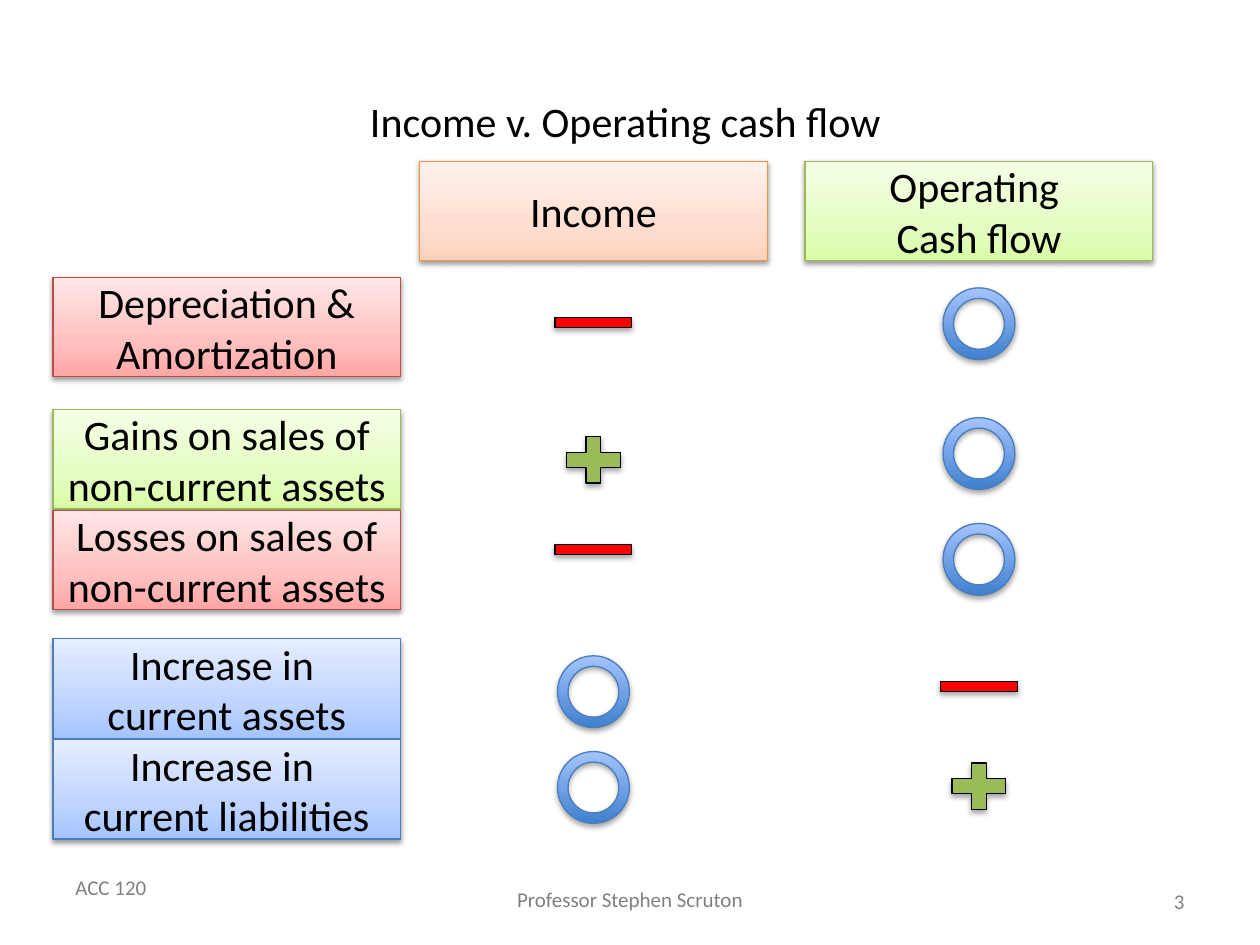
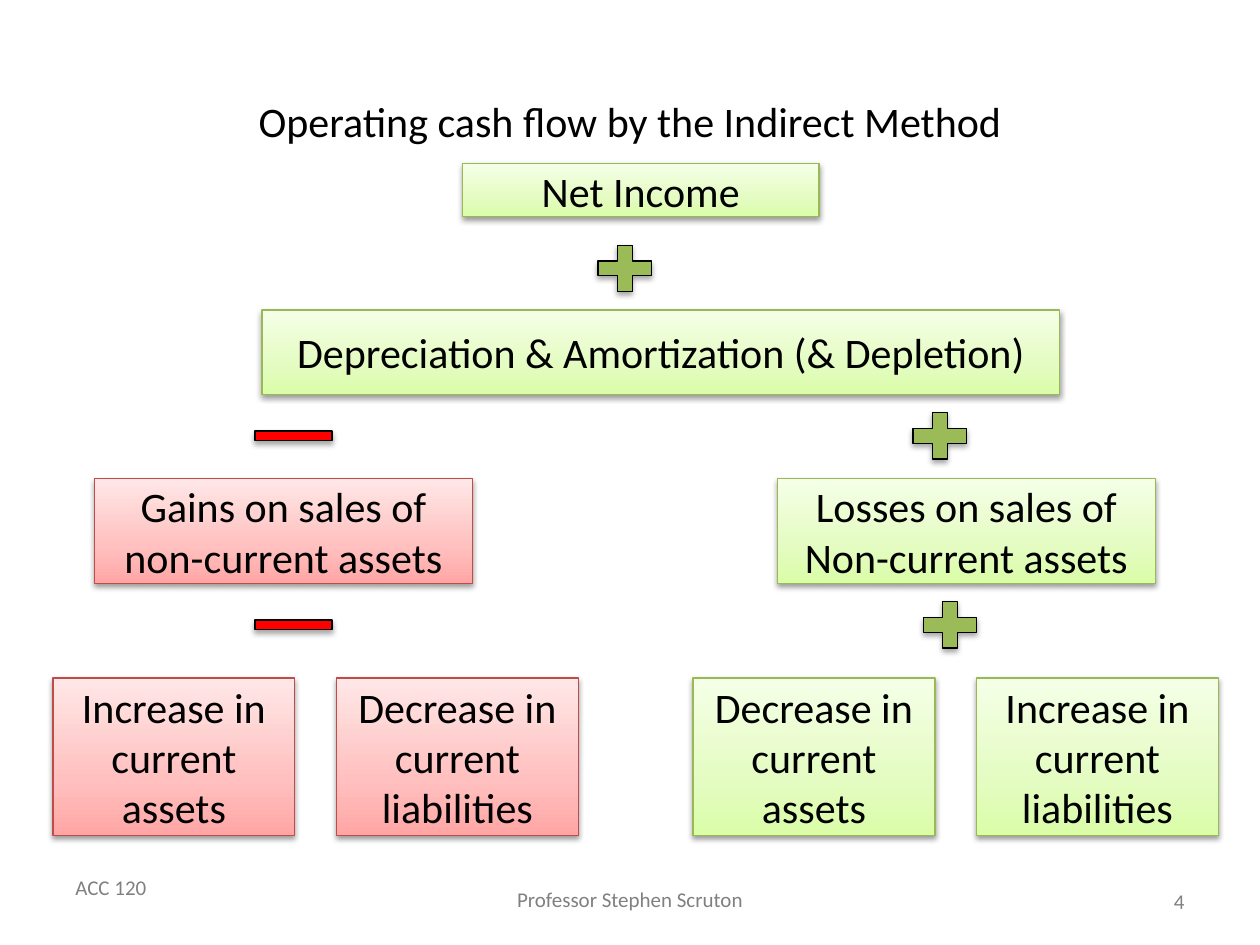
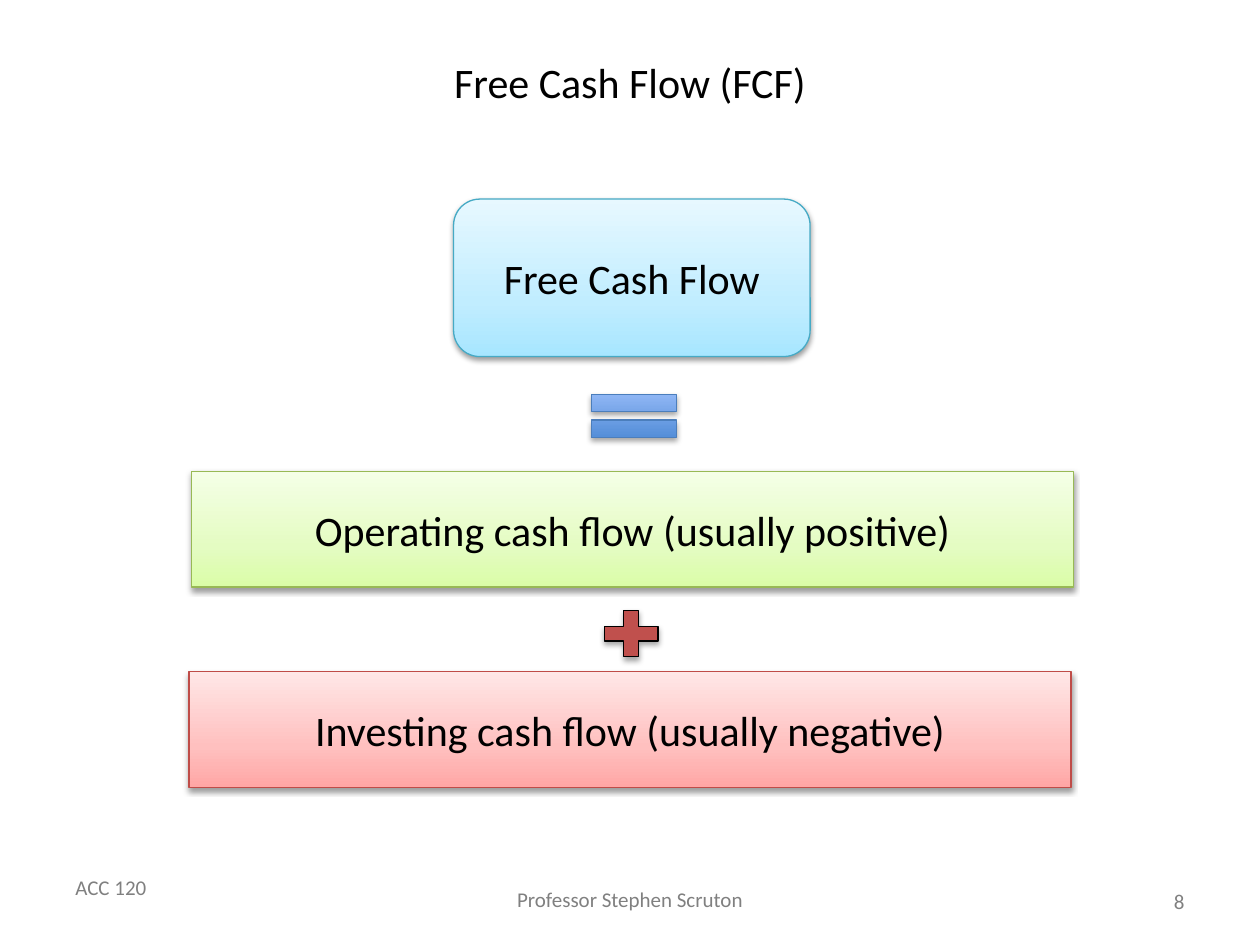
from collections import namedtuple

from lxml.etree import SubElement
from pptx import Presentation
from pptx.dml.color import RGBColor
from pptx.enum.shapes import MSO_SHAPE as SHAPE
from pptx.enum.text import MSO_ANCHOR as ANCHOR, PP_ALIGN as ALIGN
from pptx.oxml.ns import qn
from pptx.util import Inches, Pt

FONT = "Calibri"
BLACK = RGBColor(0x00, 0x00, 0x00)
GRAY = RGBColor(0x80, 0x80, 0x80)
MINUS_RED = RGBColor(0xFF, 0x00, 0x00)
PLUS_GREEN = RGBColor(0x9B, 0xBB, 0x59)
PLUS_RED = RGBColor(0xC0, 0x50, 0x4D)
BLUE_EDGE = RGBColor(0x4B, 0x7E, 0xBC)
BLUE_DARK = RGBColor(0x3F, 0x80, 0xCE)
BLUE_LIGHT = RGBColor(0xA4, 0xC4, 0xFF)

# Gradients run from the bottom edge to the top: (position in percent, colour)
Tint = namedtuple("Tint", "edge stops")


def soft_tint(edge, bottom, middle, top):
    return Tint(edge, [(0, bottom), (35, middle), (100, top)])


RED = soft_tint(RGBColor(0xBF, 0x4C, 0x48), RGBColor(0xFF, 0xA6, 0xA5),
                RGBColor(0xFF, 0xC0, 0xBF), RGBColor(0xFF, 0xE7, 0xE7))
GREEN = soft_tint(RGBColor(0x98, 0xB9, 0x55), RGBColor(0xDA, 0xFD, 0xA7),
                  RGBColor(0xE4, 0xFC, 0xC2), RGBColor(0xF5, 0xFF, 0xE7))
BLUE = soft_tint(BLUE_EDGE, BLUE_LIGHT,
                 RGBColor(0xBF, 0xD4, 0xFF), RGBColor(0xE6, 0xEE, 0xFF))
ORANGE = soft_tint(RGBColor(0xF6, 0x92, 0x40), RGBColor(0xFF, 0xD2, 0xBD),
                   RGBColor(0xFF, 0xDE, 0xD0), RGBColor(0xFF, 0xF2, 0xED))
AQUA = soft_tint(RGBColor(0x46, 0xAA, 0xC5), RGBColor(0xA7, 0xE6, 0xFF),
                 RGBColor(0xC1, 0xED, 0xFF), RGBColor(0xE7, 0xF8, 0xFF))
DEEP_BLUE = Tint(BLUE_EDGE, [(0, BLUE_DARK), (100, BLUE_LIGHT)])

# Signs: preset shape, width, height, fill
Sign = namedtuple("Sign", "preset width height fill")
MINUS = Sign(SHAPE.MATH_MINUS, 0.83, 0.33, MINUS_RED)
PLUS = Sign(SHAPE.MATH_PLUS, 0.58, 0.5, PLUS_GREEN)
RED_PLUS = PLUS._replace(fill=PLUS_RED)
NEUTRAL = Sign(SHAPE.DONUT, 0.57, 0.57, DEEP_BLUE)
EQUALS = Sign(SHAPE.MATH_EQUAL, 0.92, 0.58, DEEP_BLUE)


# Shared styling
def add_run(paragraph, text, size, color, align):
    paragraph.alignment = align
    run = paragraph.add_run()
    run.text = text
    run.font.name = FONT
    run.font.size = Pt(size)
    run.font.color.rgb = color


def paint(shape, fill):
    if isinstance(fill, Tint):
        shape.fill.gradient()
        shape.fill.gradient_angle = 90
        stops = shape._element.spPr.find(qn("a:gradFill")).find(qn("a:gsLst"))
        stops.clear()
        for percent, color in fill.stops:
            stop = SubElement(stops, qn("a:gs"), pos=str(percent * 1000))
            SubElement(stop, qn("a:srgbClr"), val=str(color))
        shape.line.color.rgb = fill.edge
    else:
        shape.fill.solid()
        shape.fill.fore_color.rgb = fill
        shape.line.color.rgb = BLACK
    shape.line.width = Pt(0.75)


def drop_shadow(shape, distance, opacity):
    shape.shadow.inherit = False
    effects = shape._element.spPr.find(qn("a:effectLst"))
    shadow = SubElement(effects, qn("a:outerShdw"), blurRad="40000",
                        dist=str(Pt(distance)), dir="5400000", rotWithShape="0")
    color = SubElement(shadow, qn("a:srgbClr"), val=str(BLACK))
    SubElement(color, qn("a:alpha"), val=str(opacity * 1000))


# Elements
def add_box(slide, text, tint, left, top, width, height, preset=SHAPE.RECTANGLE):
    box = slide.shapes.add_shape(preset, Inches(left), Inches(top),
                                 Inches(width), Inches(height))
    paint(box, tint)
    drop_shadow(box, 1.6, 38)
    frame = box.text_frame
    frame.word_wrap = True
    frame.vertical_anchor = ANCHOR.MIDDLE
    for index, line in enumerate(text.split("\n")):
        paragraph = frame.add_paragraph() if index else frame.paragraphs[0]
        add_run(paragraph, line, 24, BLACK, ALIGN.CENTER)


def add_sign(slide, sign, center_x, center_y):
    mark = slide.shapes.add_shape(
        sign.preset, Inches(center_x - sign.width / 2),
        Inches(center_y - sign.height / 2), Inches(sign.width), Inches(sign.height))
    if sign.preset == SHAPE.DONUT:
        mark.adjustments[0] = 0.146
    paint(mark, sign.fill)
    drop_shadow(mark, 1.8, 35)


def add_footer(slide, text, left, top, width, height, align, wrap=False):
    footer = slide.shapes.add_textbox(Inches(left), Inches(top),
                                      Inches(width), Inches(height))
    frame = footer.text_frame
    frame.word_wrap = wrap
    frame.vertical_anchor = ANCHOR.MIDDLE
    add_run(frame.paragraphs[0], text, 12, GRAY, align)


def new_slide(prs, heading, number, title_top=0.61):
    slide = prs.slides.add_slide(prs.slide_layouts[5])
    title = slide.shapes.title
    title.left, title.top = Inches(0.75), Inches(title_top)
    title.width, title.height = Inches(8.5), Inches(0.7)
    title.text_frame.vertical_anchor = ANCHOR.MIDDLE
    add_run(title.text_frame.paragraphs[0], heading, 24, BLACK, ALIGN.CENTER)
    add_footer(slide, "ACC 120", 0.5, 6.89, 0.77, 0.3, ALIGN.LEFT)
    add_footer(slide, "Professor Stephen Scruton", 3.99, 6.99, 2.02, 0.3, ALIGN.CENTER)
    add_footer(slide, str(number), 7.17, 6.95, 2.33, 0.4, ALIGN.RIGHT, wrap=True)
    return slide


# Slides
def income_vs_cash_flow(prs):
    slide = new_slide(prs, "Income v. Operating cash flow ", 3)
    width, height = 2.76, 0.79
    income_left, cash_left = 3.33, 6.39
    add_box(slide, "Income", ORANGE, income_left, 1.28, width, height)
    add_box(slide, "Operating \nCash flow", GREEN, cash_left, 1.28, width, height)

    # Label, tint, top, then sign and its centre height for each column
    rows = [
        ("Depreciation & Amortization", RED, 2.2, (MINUS, 2.56), (NEUTRAL, 2.57)),
        ("Gains on sales of non-current assets", GREEN, 3.25,
         (PLUS, 3.65), (NEUTRAL, 3.6)),
        ("Losses on sales of non-current assets", RED, 4.05,
         (MINUS, 4.36), (NEUTRAL, 4.44)),
        ("Increase in \ncurrent assets", BLUE, 5.07, (NEUTRAL, 5.49), (MINUS, 5.45)),
        ("Increase in \ncurrent liabilities", BLUE, 5.87,
         (NEUTRAL, 6.25), (PLUS, 6.24)),
    ]
    for label, tint, top, *effects in rows:
        add_box(slide, label, tint, 0.42, top, width, height)
        for left, (sign, center_y) in zip((income_left, cash_left), effects):
            add_sign(slide, sign, left + width / 2, center_y)


def indirect_method(prs):
    slide = new_slide(prs, "Operating cash flow by the Indirect Method", 4)
    add_box(slide, "Net Income", GREEN, 3.67, 1.3, 2.83, 0.42)
    add_sign(slide, PLUS, 4.96, 2.13)
    add_box(slide, "Depreciation & Amortization (& Depletion)", GREEN,
            2.08, 2.46, 6.33, 0.67)

    # Deductions on the left, additions on the right
    branches = [
        (RED, MINUS, (2.33, 2.33), 0.75, "Gains on sales of non-current assets", 0.42,
         ("Increase in current assets", "Decrease in current liabilities")),
        (GREEN, PLUS, (7.46, 7.54), 6.17, "Losses on sales of Non-current assets", 5.5,
         ("Decrease in current assets", "Increase in current liabilities")),
    ]
    for tint, sign, sign_centers, sale_left, sale, first_left, changes in branches:
        for center_x, center_y in zip(sign_centers, (3.46, 4.96)):
            add_sign(slide, sign, center_x, center_y)
        add_box(slide, sale, tint, sale_left, 3.8, 3, 0.83)
        for index, change in enumerate(changes):
            add_box(slide, change, tint, first_left + index * 2.25, 5.38, 1.92, 1.25)


def free_cash_flow(prs):
    slide = new_slide(prs, "Free Cash Flow (FCF)", 8, title_top=0.3)
    add_box(slide, "Free Cash Flow", AQUA, 3.6, 1.58, 2.83, 1.25,
            SHAPE.ROUNDED_RECTANGLE)
    add_sign(slide, EQUALS, 5.03, 3.3)
    add_box(slide, "Operating cash flow (usually positive)", GREEN, 1.52, 3.74, 7, 0.92)
    add_box(slide, "Investing cash flow (usually negative)", RED, 1.5, 5.33, 7, 0.92)
    add_sign(slide, RED_PLUS, 5.01, 5.03)


def main():
    prs = Presentation()
    prs.slide_width, prs.slide_height = Inches(10), Inches(7.5)
    income_vs_cash_flow(prs)
    indirect_method(prs)
    free_cash_flow(prs)
    prs.save("out.pptx")


if __name__ == "__main__":
    main()
